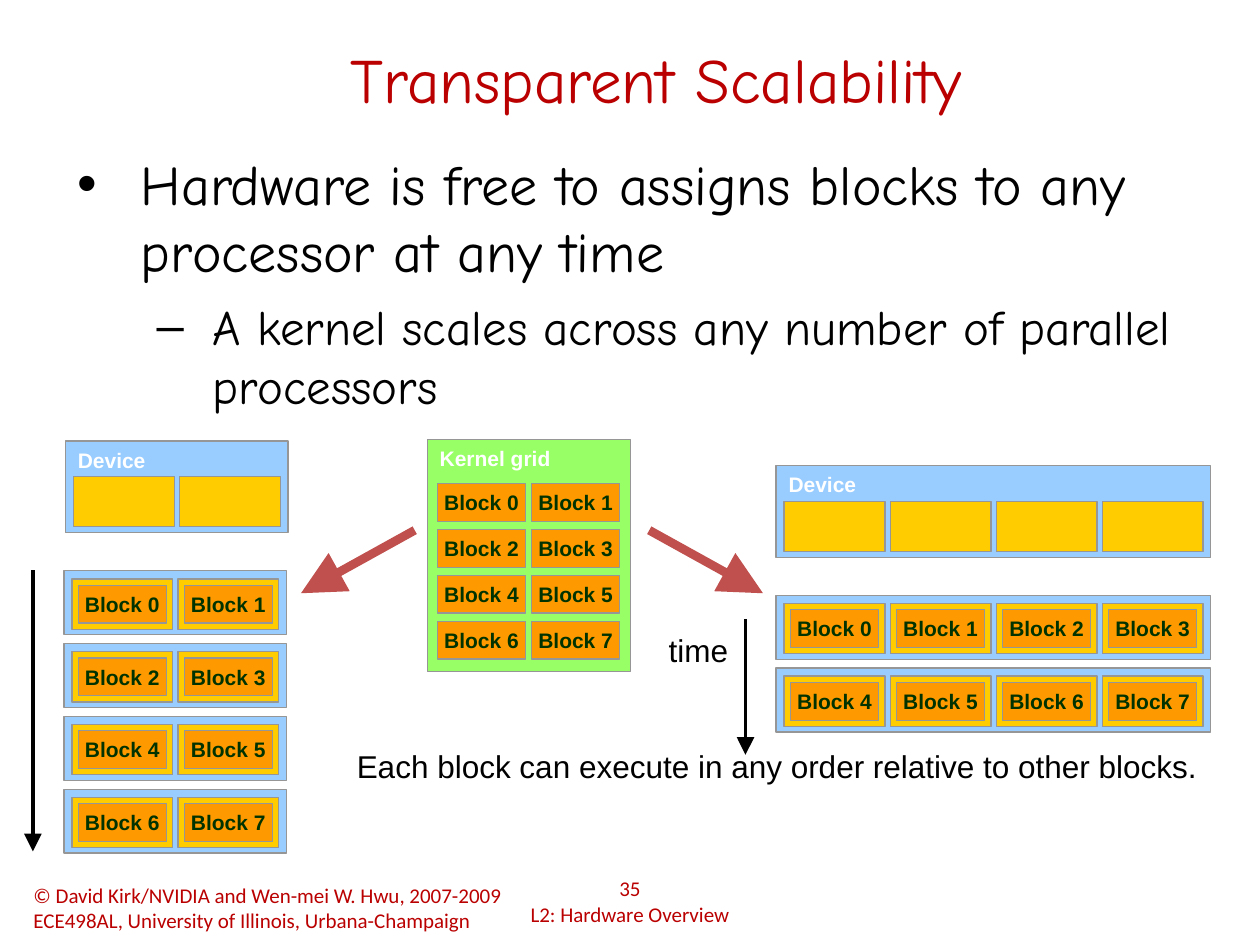
from pptx import Presentation
from pptx.dml.color import RGBColor
from pptx.enum.shapes import MSO_CONNECTOR, MSO_SHAPE
from pptx.enum.text import MSO_ANCHOR, PP_ALIGN
from pptx.oxml.ns import qn
from pptx.util import Pt
from lxml.etree import SubElement

RED, BLACK, WHITE = "BA0000", "000000", "FFFFFF"
BLUE, YELLOW, ORANGE, GREEN = "99CCFF", "FFCC00", "FF9900", "99FF66"
GRAY, DARK_GREEN, BRICK = "969696", "003300", "C0504D"

CELL_W, CELL_H, CELL_PITCH = 57.6, 28.8, 60.6
BLOCK_W, BLOCK_H = 50.4, 21.6
PAD = 4.6
ROW_H, ROW_PITCH = 36.5, 41.6


def color(value):
    return RGBColor.from_string(value)


def style(p, size, font, hex_color, bold=False, align=PP_ALIGN.LEFT):
    p.alignment = align
    for r in p.runs:
        r.font.size = Pt(size)
        r.font.name = font
        r.font.bold = bold
        r.font.color.rgb = color(hex_color)


def add_text(slide, x, y, w, h, text, size, font, hex_color,
             align=PP_ALIGN.LEFT, anchor=MSO_ANCHOR.TOP, wrap=True):
    s = slide.shapes.add_textbox(Pt(x), Pt(y), Pt(w), Pt(h))
    tf = s.text_frame
    tf.word_wrap = wrap
    tf.vertical_anchor = anchor
    tf.text = text
    for p in tf.paragraphs:
        style(p, size, font, hex_color, align=align)
    return tf


def add_bullet(p, char, margin, indent):
    pPr = p._p.get_or_add_pPr()
    pPr.set("marL", str(Pt(margin)))
    pPr.set("indent", str(Pt(indent)))
    SubElement(pPr, qn("a:buFont")).set("typeface", "Arial")
    SubElement(pPr, qn("a:buChar")).set("char", char)


def add_box(slide, x, y, w, h, fill, text="", text_color=WHITE,
            align=PP_ALIGN.LEFT, wrap=True):
    s = slide.shapes.add_shape(MSO_SHAPE.RECTANGLE, Pt(x), Pt(y), Pt(w), Pt(h))
    s.shadow.inherit = False
    s.fill.solid()
    s.fill.fore_color.rgb = color(fill)
    s.line.color.rgb = color(GRAY)
    s.line.width = Pt(0.75)
    if text:
        tf = s.text_frame
        tf.word_wrap = wrap
        tf.vertical_anchor = MSO_ANCHOR.TOP
        tf.text = text
        style(tf.paragraphs[0], 12, "Arial", text_color, True, align)


def add_block(slide, x, y, number):
    add_box(slide, x, y, BLOCK_W, BLOCK_H, ORANGE, f"Block {number}",
            DARK_GREEN, PP_ALIGN.CENTER, wrap=False)


def add_arrow(slide, x1, y1, x2, y2, hex_color, width):
    s = slide.shapes.add_connector(MSO_CONNECTOR.STRAIGHT,
                                   Pt(x1), Pt(y1), Pt(x2), Pt(y2))
    s.line.color.rgb = color(hex_color)
    s.line.width = Pt(width)
    head = SubElement(s.line._get_or_add_ln(), qn("a:tailEnd"))
    for key, value in (("type", "triangle"), ("w", "lg"), ("len", "lg")):
        head.set(key, value)
    SubElement(s._element.spPr, qn("a:effectLst"))


def panel_width(columns):
    return columns * CELL_PITCH + 6


def add_device(slide, x, y, columns):
    add_box(slide, x, y, panel_width(columns), 52.5, BLUE, "Device")
    for col in range(columns):
        add_box(slide, x + PAD + col * CELL_PITCH, y + 20.2,
                CELL_W, CELL_H, YELLOW)


def add_schedule(slide, x, y, columns, blocks=8):
    for row in range(blocks // columns):
        top = y + row * ROW_PITCH
        add_box(slide, x, top, panel_width(columns), ROW_H, BLUE)
        for col in range(columns):
            left = x + PAD + col * CELL_PITCH
            add_box(slide, left, top + PAD, CELL_W, CELL_H, YELLOW)
            add_block(slide, left + 3.6, top + PAD + 3.6, row * columns + col)


def add_kernel_grid(slide, x, y):
    add_box(slide, x, y, 116, 132.4, GREEN, "Kernel grid")
    for number in range(8):
        row, col = divmod(number, 2)
        add_block(slide, x + 5.8 + col * 53.8, y + 25.2 + row * 26.2, number)


def main():
    prs = Presentation()
    prs.slide_width, prs.slide_height = Pt(720), Pt(540)
    slide = prs.slides.add_slide(prs.slide_layouts[6])

    # Title and bullets
    add_text(slide, 48, 0, 654, 90, "Transparent Scalability", 36,
             "Comic Neue", RED, PP_ALIGN.CENTER, MSO_ANCHOR.MIDDLE)
    tf = add_text(slide, 37.5, 82, 648, 422,
                  "Hardware is free to assigns blocks to any processor at any time",
                  32, "Comic Neue", BLACK)
    add_bullet(tf.paragraphs[0], "•", 36, -36)
    p = tf.add_paragraph()
    p.text = "A kernel scales across any number of parallel processors"
    p.level = 1
    p.space_before = Pt(7)
    add_bullet(p, "–", 77, -32)
    style(p, 28, "Comic Neue", BLACK)

    # Two-processor device and its schedule
    add_device(slide, 37.4, 252, 2)
    add_arrow(slide, 18.8, 326, 18.8, 486.5, BLACK, 2)
    add_schedule(slide, 36.5, 326.2, 2)

    # Kernel grid
    add_kernel_grid(slide, 244.2, 251.2)

    # Four-processor device and its schedule
    add_device(slide, 443.5, 266.2, 4)
    add_schedule(slide, 443.5, 340.2, 4)
    add_arrow(slide, 426, 354, 426, 431.3, BLACK, 2)

    # Arrows from the grid to both schedules
    add_arrow(slide, 237, 303, 172, 339, BRICK, 5)
    add_arrow(slide, 371, 303, 436, 339, BRICK, 5)

    # Captions
    add_text(slide, 196.8, 423.4, 499, 29,
             "Each block can execute in any order relative to other blocks.",
             18, "Arial", BLACK)
    add_text(slide, 375, 357.2, 51, 29, "time", 18, "Arial", BLACK, wrap=False)

    # Footer
    add_text(slide, 12, 504, 300, 29,
             "© David Kirk/NVIDIA and Wen-mei W. Hwu, 2007-2009\n"
             "ECE498AL, University of Illinois, Urbana-Champaign",
             12, "Calibri", RED, anchor=MSO_ANCHOR.MIDDLE)
    add_text(slide, 246, 500.4, 228, 29, "35\nL2: Hardware Overview",
             12, "Calibri", RED, PP_ALIGN.CENTER, MSO_ANCHOR.MIDDLE)

    prs.save("out.pptx")


if __name__ == "__main__":
    main()
